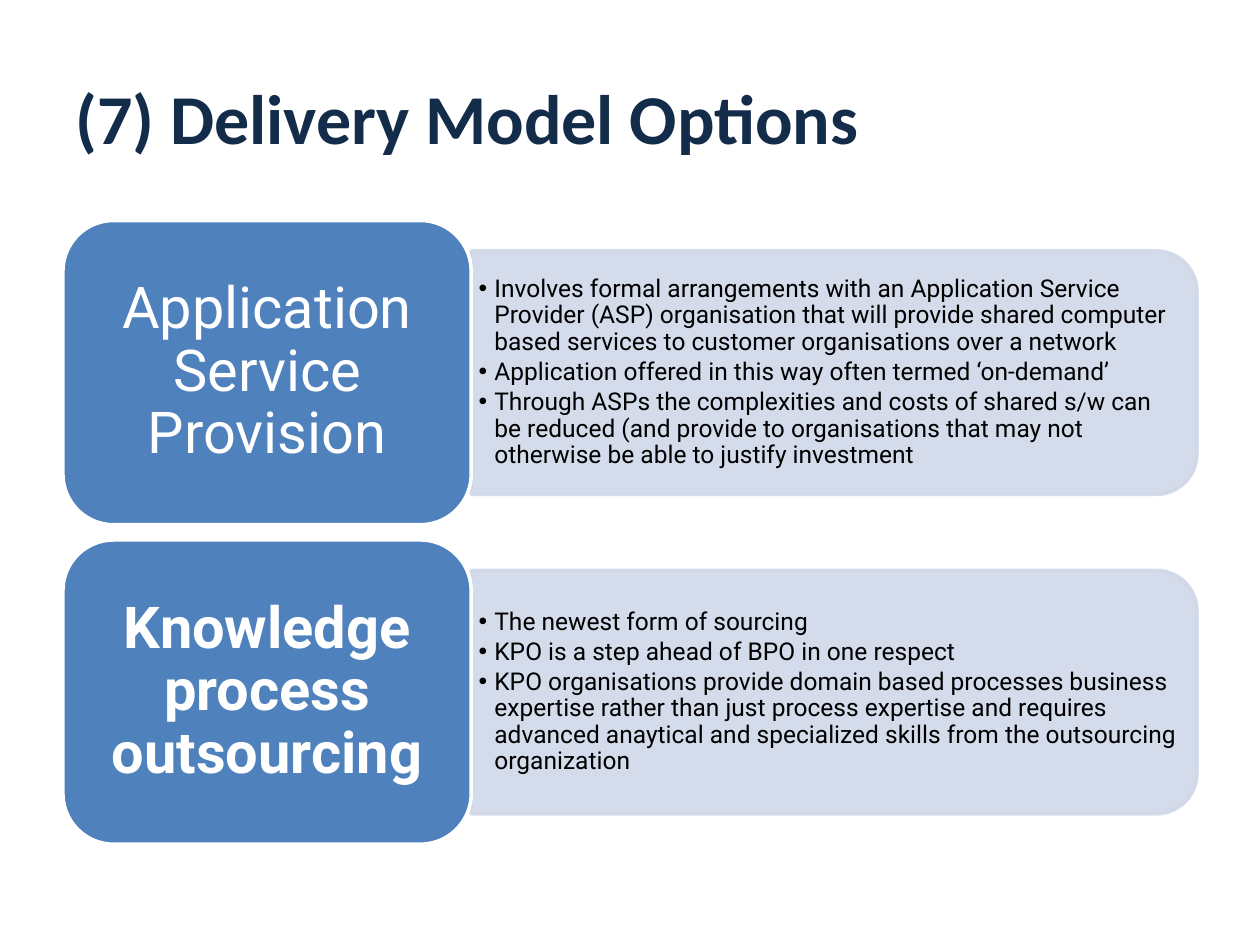
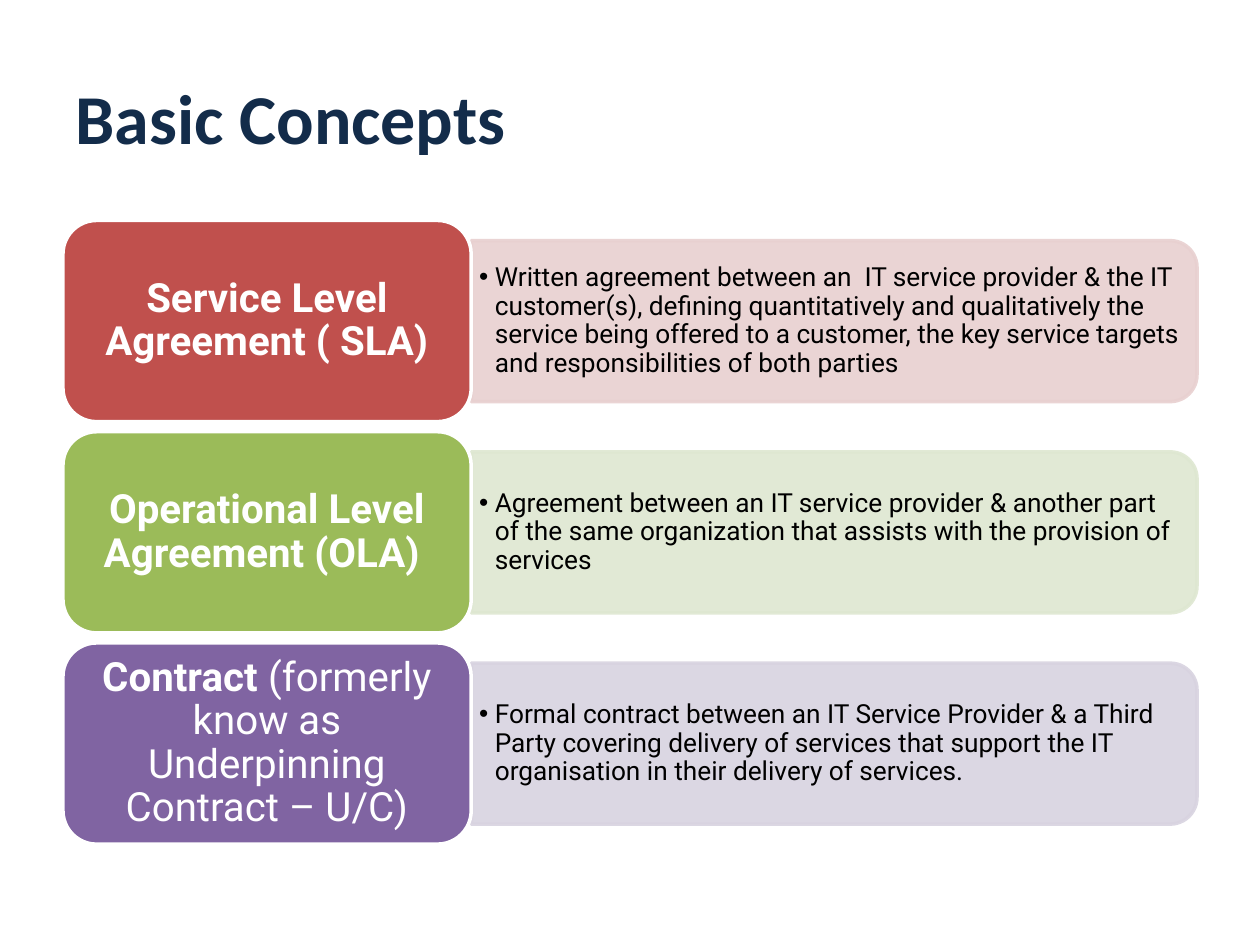
from collections import namedtuple

from lxml import etree
from pptx import Presentation
from pptx.dml.color import RGBColor
from pptx.enum.shapes import MSO_SHAPE
from pptx.enum.text import MSO_ANCHOR, MSO_AUTO_SIZE, PP_ALIGN
from pptx.oxml.ns import qn
from pptx.util import Pt

ROUNDED = MSO_SHAPE.ROUNDED_RECTANGLE
ROUNDED_TOP = MSO_SHAPE.ROUND_2_SAME_RECTANGLE
MIDDLE = MSO_ANCHOR.MIDDLE
NO_AUTOFIT = MSO_AUTO_SIZE.NONE
LEFT = PP_ALIGN.LEFT
CENTER = PP_ALIGN.CENTER

NAVY = RGBColor(0x13, 0x2C, 0x4A)
WHITE = RGBColor(0xFF, 0xFF, 0xFF)
BLACK = RGBColor(0x00, 0x00, 0x00)
BLUE = RGBColor(0x4F, 0x81, 0xBD)
BLUE_TINT = RGBColor(0xD0, 0xD8, 0xE8)
RED = RGBColor(0xC0, 0x50, 0x4D)
RED_TINT = RGBColor(0xE8, 0xD0, 0xD0)
GREEN = RGBColor(0x9B, 0xBB, 0x59)
GREEN_TINT = RGBColor(0xDE, 0xE7, 0xD1)
PURPLE = RGBColor(0x80, 0x64, 0xA2)
PURPLE_TINT = RGBColor(0xD8, 0xD3, 0xE0)

TITLE_ONLY = 5
TITLE_FONT = {"name": "Calibri", "size": Pt(40), "bold": True}
TEXT_FONT = "Roboto"

Box = namedtuple("Box", "left top width height")
Row = namedtuple("Row", "color tint label bullets")

TITLE_BOX = Box(36, 21.6, 648, 90)
ROWS_BOX = Box(36, 126, 648, 356.4)
ROW_GAP = 0.05
LABEL_SHARE = 0.36
PANEL_SHARE = 0.8
CORNER_INSET = 0.0488
BULLET_INDENT = 9
OPACITY = 90000

DELIVERY_ROWS = [
    Row(BLUE, BLUE_TINT, [("Application Service Provision", False)], [
        "Involves formal arrangements with an Application Service Provider (ASP) organisation "
        "that will provide shared computer based services to customer organisations over a network",
        "Application offered in this way often termed ‘on-demand’",
        "Through ASPs the complexities and costs of shared s/w can be reduced (and provide to "
        "organisations that may not otherwise be able to justify investment",
    ]),
    Row(BLUE, BLUE_TINT, [("Knowledge process outsourcing", True)], [
        "The newest form of sourcing",
        "KPO is a step ahead of BPO in one respect",
        "KPO organisations provide domain based processes business expertise rather than just "
        "process expertise and requires advanced anaytical and specialized skills from the "
        "outsourcing organization",
    ]),
]

CONCEPT_ROWS = [
    Row(RED, RED_TINT, [("Service Level Agreement ( SLA)", True)], [
        "Written agreement between an  IT service provider & the IT customer(s), defining "
        "quantitatively and qualitatively the service being offered to a customer, the key "
        "service targets and responsibilities of both parties",
    ]),
    Row(GREEN, GREEN_TINT, [("Operational Level Agreement (OLA) ", True)], [
        "Agreement between an IT service provider & another part of the same organization "
        "that assists with the provision of services",
    ]),
    Row(PURPLE, PURPLE_TINT,
        [("Contract ", True), ("(formerly know as Underpinning Contract – U/C)", False)], [
            "Formal contract between an IT Service Provider & a Third Party covering delivery of "
            "services that support the IT organisation in their delivery of services.",
        ]),
]


def apply_format(target, values):
    for name, value in values.items():
        setattr(target, name, value)


def points(box):
    return [Pt(length) for length in box]


def add_filled_shape(slide, kind, box, fill_color, line_color):
    shape = slide.shapes.add_shape(kind, *points(box))
    shape.shadow.inherit = False
    shape.fill.solid()
    shape.fill.fore_color.rgb = fill_color
    shape.line.color.rgb = line_color
    shape.line.width = Pt(2)
    return shape


def make_translucent(shape):
    for color in shape._element.spPr.iter(qn("a:srgbClr")):
        etree.SubElement(color, qn("a:alpha"), val=str(OPACITY))


def format_frame(text_frame, size):
    side, end = Pt(0.3 * size), Pt(0.15 * size)
    apply_format(text_frame, {
        "word_wrap": True, "auto_size": NO_AUTOFIT, "vertical_anchor": MIDDLE,
        "margin_left": side, "margin_right": side, "margin_top": end, "margin_bottom": end,
    })


def add_run(paragraph, text, size, color, bold=False):
    run = paragraph.add_run()
    run.text = text
    apply_format(run.font, {"name": TEXT_FONT, "size": Pt(size), "bold": bold})
    run.font.color.rgb = color


def add_bullet(paragraph):
    properties = paragraph._p.get_or_add_pPr()
    properties.set("marL", str(Pt(BULLET_INDENT)))
    properties.set("indent", str(-Pt(BULLET_INDENT)))
    etree.SubElement(properties, qn("a:buFont"), typeface="Arial")
    etree.SubElement(properties, qn("a:buChar"), char="•")


def add_title(slide, text, box):
    title = slide.shapes.title
    apply_format(title, dict(zip(box._fields, points(box))))
    title.text_frame.text = text
    apply_format(title.text_frame, {"auto_size": NO_AUTOFIT, "vertical_anchor": MIDDLE})
    paragraph = title.text_frame.paragraphs[0]
    paragraph.alignment = LEFT
    font = paragraph.runs[0].font
    apply_format(font, TITLE_FONT)
    font.color.rgb = NAVY


def add_panel(slide, row, box, size):
    upright = Box(box.left + (box.width - box.height) / 2,
                  box.top + (box.height - box.width) / 2, box.height, box.width)
    panel = add_filled_shape(slide, ROUNDED_TOP, upright, row.tint, row.tint)
    panel.rotation = 90
    make_translucent(panel)

    inset = CORNER_INSET * box.height
    text_box = Box(box.left, box.top + inset, box.width - inset, box.height - 2 * inset)
    text_frame = slide.shapes.add_textbox(*points(text_box)).text_frame
    format_frame(text_frame, size)
    for index, text in enumerate(row.bullets):
        paragraph = text_frame.add_paragraph() if index else text_frame.paragraphs[0]
        add_bullet(paragraph)
        apply_format(paragraph, {"line_spacing": 0.9, "space_after": Pt(0.15 * size)})
        add_run(paragraph, text, size, BLACK)


def add_label(slide, row, box, size):
    label = add_filled_shape(slide, ROUNDED, box, row.color, WHITE)
    format_frame(label.text_frame, size)
    paragraph = label.text_frame.paragraphs[0]
    apply_format(paragraph, {"alignment": CENTER, "line_spacing": 0.9,
                             "space_after": Pt(0.35 * size)})
    for text, bold in row.label:
        add_run(paragraph, text, size, WHITE, bold)


def add_row(slide, row, box, label_size, bullet_size):
    label_width = LABEL_SHARE * box.width
    panel_height = PANEL_SHARE * box.height
    panel_box = Box(box.left + label_width, box.top + (box.height - panel_height) / 2,
                    box.width - label_width, panel_height)
    add_panel(slide, row, panel_box, bullet_size)
    add_label(slide, row, box._replace(width=label_width), label_size)


def add_rows_slide(presentation, title, rows, label_size, bullet_size):
    slide = presentation.slides.add_slide(presentation.slide_layouts[TITLE_ONLY])
    add_title(slide, title, TITLE_BOX)
    height = ROWS_BOX.height / (len(rows) + ROW_GAP * (len(rows) - 1))
    for index, row in enumerate(rows):
        top = ROWS_BOX.top + index * height * (1 + ROW_GAP)
        row_box = ROWS_BOX._replace(top=top, height=height)
        add_row(slide, row, row_box, label_size, bullet_size)


def main():
    presentation = Presentation()
    presentation.slide_width = Pt(720)
    presentation.slide_height = Pt(540)
    add_rows_slide(presentation, "(7) Delivery Model Options", DELIVERY_ROWS, 33, 14)
    add_rows_slide(presentation, "Basic Concepts", CONCEPT_ROWS, 23, 15)
    presentation.save("out.pptx")


if __name__ == "__main__":
    main()
